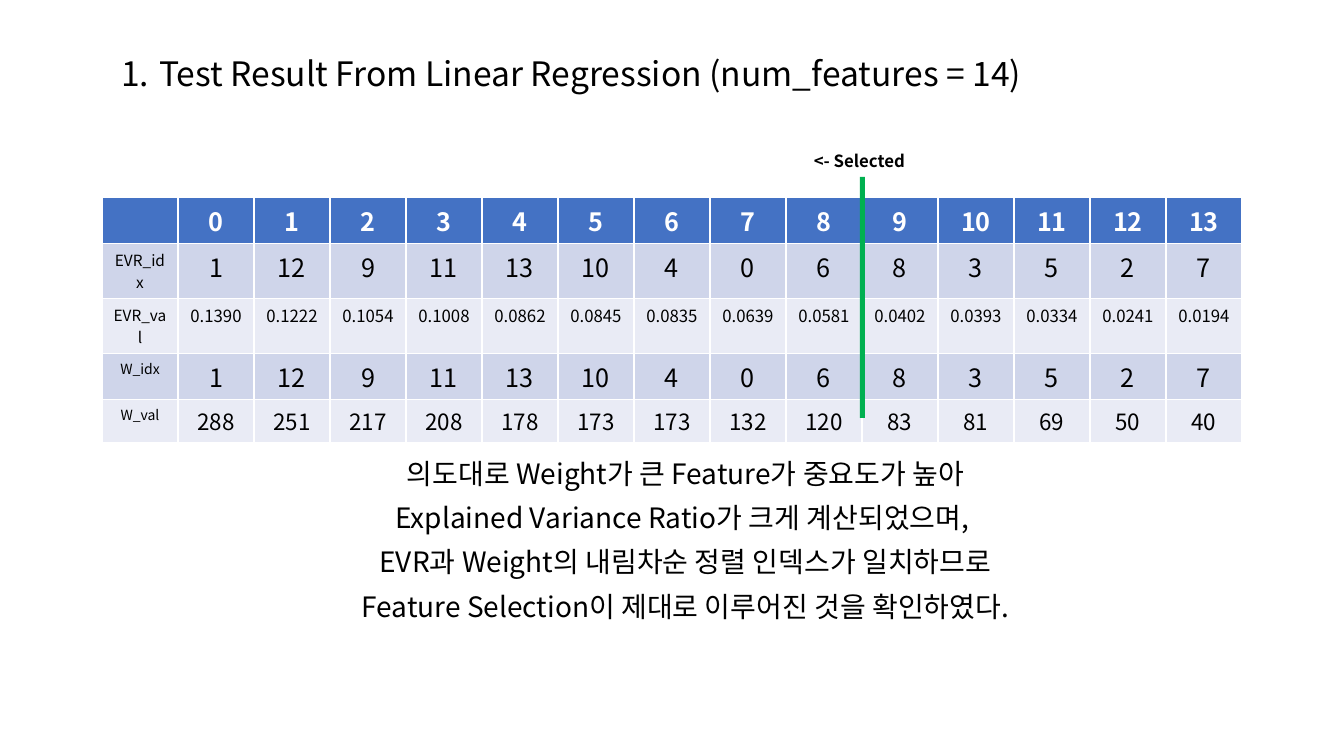
from lxml import etree
from pptx import Presentation
from pptx.dml.color import RGBColor
from pptx.enum.shapes import MSO_SHAPE
from pptx.enum.text import MSO_ANCHOR, MSO_AUTO_SIZE, PP_ALIGN
from pptx.oxml.ns import qn
from pptx.util import Emu, Pt

CENTER, LEFT = PP_ALIGN.CENTER, PP_ALIGN.LEFT
RECTANGLE = MSO_SHAPE.RECTANGLE
TOP = MSO_ANCHOR.TOP
NO_AUTOFIT = MSO_AUTO_SIZE.NONE
PIXEL = 914400 / 100.8
FONT = "Noto Sans CJK KR"
COLORS = {
    "text": "000000", "header_text": "FFFFFF", "header": "4472C4",
    "band_dark": "CFD5EA", "band_light": "E9EBF5", "divider": "00B050",
}

HEADING = "Test Result From Linear Regression (num_features = 14)"
CONCLUSION = [
    "의도대로 Weight가 큰 Feature가 중요도가 높아",
    "Explained Variance Ratio가 크게 계산되었으며, ",
    "EVR과 Weight의 내림차순 정렬 인덱스가 일치하므로",
    "Feature Selection이 제대로 이루어진 것을 확인하였다.",
]
SELECTED_LABEL = "<- Selected"
RANKING = [1, 12, 9, 11, 13, 10, 4, 0, 6, 8, 3, 5, 2, 7]
EVR_VALUES = ["0.1390", "0.1222", "0.1054", "0.1008", "0.0862", "0.0845", "0.0835",
              "0.0639", "0.0581", "0.0402", "0.0393", "0.0334", "0.0241", "0.0194"]
WEIGHTS = [288, 251, 217, 208, 178, 173, 173, 132, 120, 83, 81, 69, 50, 40]
# label, label size, values, value size
ROWS = [
    ("", 18, range(len(RANKING)), 18),
    ("EVR_idx", 11, RANKING, 18),
    ("EVR_val", 11, EVR_VALUES, 12),
    ("W_idx", 10, RANKING, 18),
    ("W_val", 10, WEIGHTS, 16),
]

BODY_BOX = (111, 52, 1149, 628)
TABLE_LEFT, TABLE_TOP, COLUMN_WIDTH, ROW_HEIGHT = 102, 197, 76, 40
DIVIDER_BOX = (860, 177, 5, 241)
LABEL_BOX = (791, 146, 137, 30)
NUMBER_INDENT = 38
CONCLUSION_GAP = 262


def px(length):
    """Turn pixels into EMU."""
    return Emu(round(length * PIXEL))


def place(box):
    """Turn a pixel box into EMU lengths."""
    return [px(length) for length in box]


def write(para, text, size, color="text", bold=False, align=CENTER):
    """Add one formatted run to a paragraph."""
    para.alignment = align
    span = para.add_run()
    span.text = text
    span.font.size = Pt(size)
    span.font.bold = bold
    span.font.name = FONT
    span.font.color.rgb = RGBColor.from_string(COLORS[color])
    etree.SubElement(span.font._element, qn("a:ea"), typeface=FONT)


def set_bullet(para, indent=0, numbered=False):
    """Give a paragraph a hanging number, or no bullet."""
    props = para._p.get_or_add_pPr()
    props.set("marL", str(px(indent)))
    props.set("indent", str(-px(indent)))
    if numbered:
        etree.SubElement(props, qn("a:buFont"), typeface=FONT)
        etree.SubElement(props, qn("a:buAutoNum"), type="arabicPeriod")
    else:
        etree.SubElement(props, qn("a:buNone"))


def fill_body(body):
    """Write the numbered heading and the conclusion below the table."""
    body.left, body.top, body.width, body.height = place(BODY_BOX)
    frame = body.text_frame
    frame.auto_size = NO_AUTOFIT
    frame.vertical_anchor = TOP
    for index, text in enumerate([HEADING] + CONCLUSION):
        para = frame.paragraphs[0] if index == 0 else frame.add_paragraph()
        para.line_spacing = 0.9
        para.space_before = Pt(CONCLUSION_GAP if index == 1 else 10)
        if index == 0:
            set_bullet(para, NUMBER_INDENT, numbered=True)
            write(para, text, 24, align=LEFT)
        else:
            set_bullet(para)
            write(para, text, 20)


def add_results(page):
    """Add the table of ranked features."""
    columns = len(RANKING) + 1
    box = (TABLE_LEFT, TABLE_TOP, columns * COLUMN_WIDTH, len(ROWS) * ROW_HEIGHT)
    table = page.shapes.add_table(len(ROWS), columns, *place(box)).table
    for row, (label, label_size, values, value_size) in enumerate(ROWS):
        band = "header" if row == 0 else "band_dark" if row % 2 else "band_light"
        ink = "header_text" if row == 0 else "text"
        for column, value in enumerate([label, *values]):
            cell = table.cell(row, column)
            cell.fill.solid()
            cell.fill.fore_color.rgb = RGBColor.from_string(COLORS[band])
            if value != "":
                size = value_size if column else label_size
                write(cell.text_frame.paragraphs[0], str(value), size, ink, row == 0)


def add_selection_mark(page):
    """Add the divider after the selected features, and its label."""
    divider = page.shapes.add_shape(RECTANGLE, *place(DIVIDER_BOX))
    divider.shadow.inherit = False
    divider.fill.solid()
    divider.fill.fore_color.rgb = RGBColor.from_string(COLORS["divider"])
    divider.line.fill.background()
    label = page.shapes.add_textbox(*place(LABEL_BOX))
    label.text_frame.word_wrap = True
    write(label.text_frame.paragraphs[0], SELECTED_LABEL, 12, bold=True)


deck = Presentation()
deck.slide_width, deck.slide_height = px(1344), px(756)
page = deck.slides.add_slide(deck.slide_layouts[1])
title, body = page.placeholders
title._element.getparent().remove(title._element)
fill_body(body)
add_results(page)
add_selection_mark(page)
deck.save("out.pptx")
